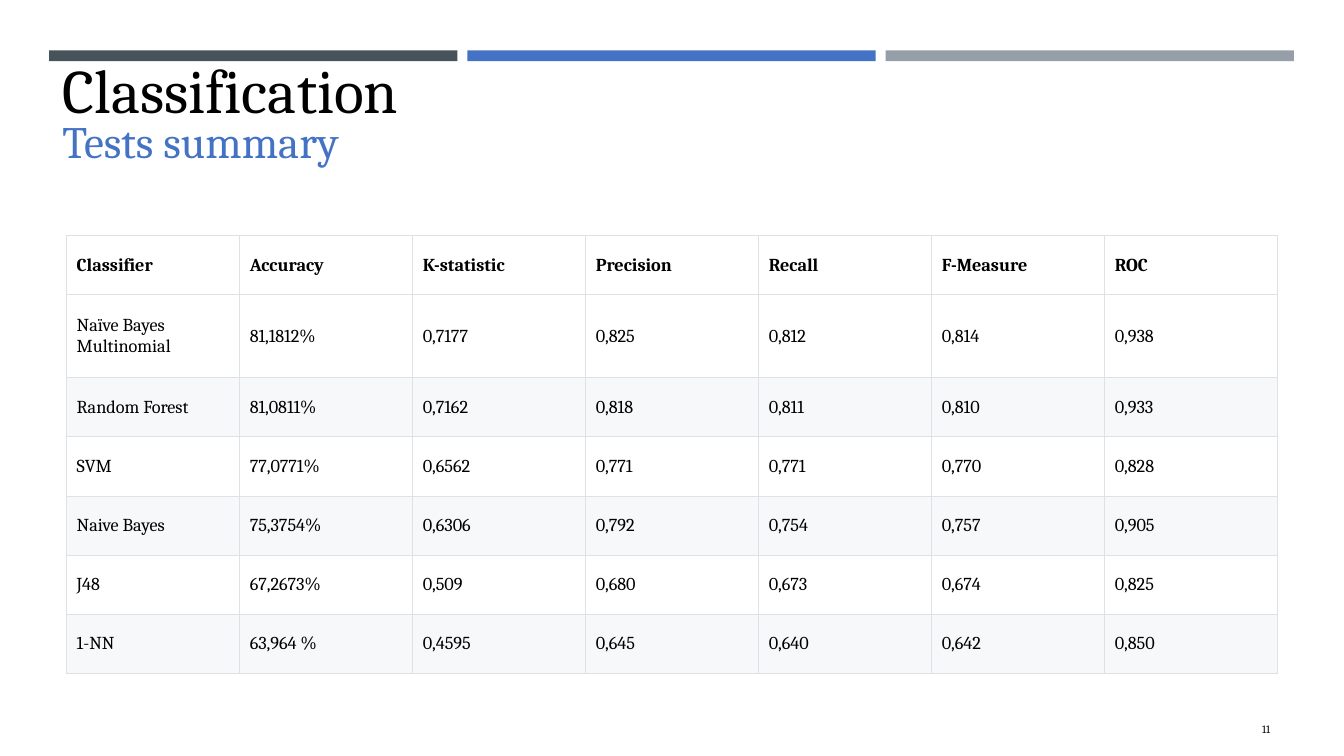
from lxml.etree import SubElement
from pptx import Presentation
from pptx.dml.color import RGBColor
from pptx.enum.shapes import MSO_SHAPE
from pptx.enum.text import MSO_ANCHOR, PP_ALIGN
from pptx.oxml.ns import qn
from pptx.util import Cm, Pt

# Content
FONT = "Cambria"
BLACK, BLUE, WHITE = "000000", "4472C4", "FFFFFF"
STRIPE, BORDER = "F6F8FA", "DFE2E5"
BAR_COLOURS = ["465359", BLUE, "969FA7"]
# text, box in cm, size, colour, anchor, alignment, line spacing
TEXTS = [
    ("Tests summary", (1.32, 2.41, 12.04, 1.96), 32, BLUE,
     MSO_ANCHOR.BOTTOM, PP_ALIGN.LEFT, 0.9),
    ("Classification", (1.32, 1.57, 12.5, 1.68), 44.1, BLACK,
     MSO_ANCHOR.BOTTOM, PP_ALIGN.LEFT, 0.7),
    ("11", (29.34, 17.86, 2.92, 1.02), 8, BLACK,
     MSO_ANCHOR.MIDDLE, PP_ALIGN.RIGHT, 1.0),
]
RESULTS = [
    ("Classifier", "Accuracy", "K-statistic", "Precision", "Recall", "F-Measure", "ROC"),
    ("Naïve Bayes Multinomial", "81,1812%", "0,7177", "0,825", "0,812", "0,814", "0,938"),
    ("Random Forest", "81,0811%", "0,7162", "0,818", "0,811", "0,810", "0,933"),
    ("SVM", "77,0771%", "0,6562", "0,771", "0,771", "0,770", "0,828"),
    ("Naive Bayes", "75,3754%", "0,6306", "0,792", "0,754", "0,757", "0,905"),
    ("J48", "67,2673%", "0,509", "0,680", "0,673", "0,674", "0,825"),
    ("1-NN", "63,964 %", "0,4595", "0,645", "0,640", "0,642", "0,850"),
]

# Layout in cm
BAR_LEFT, BAR_TOP, BAR_WIDTH, BAR_HEIGHT, BAR_GAP = 1.24, 1.27, 10.29, 0.27, 0.25
TABLE_LEFT, TABLE_TOP, COLUMN_WIDTH = 1.68, 5.94, 4.36
ROW_HEIGHT, TALL_ROW_HEIGHT, TALL_ROW = 1.49, 2.09, 1


def colour(hex_string):
    return RGBColor.from_string(hex_string)


def set_font(paragraph, size, hex_string, bold=False):
    font = paragraph.font
    font.name, font.size, font.bold = FONT, Pt(size), bold
    font.color.rgb = colour(hex_string)


def add_bar(slide, index, hex_string):
    left = BAR_LEFT + index * (BAR_WIDTH + BAR_GAP)
    bar = slide.shapes.add_shape(MSO_SHAPE.RECTANGLE, Cm(left), Cm(BAR_TOP),
                                 Cm(BAR_WIDTH), Cm(BAR_HEIGHT))
    bar.shadow.inherit = False
    bar.fill.solid()
    bar.fill.fore_color.rgb = colour(hex_string)
    bar.line.fill.background()


def add_text(slide, text, box, size, hex_string, anchor, alignment, spacing):
    frame = slide.shapes.add_textbox(*map(Cm, box)).text_frame
    frame.word_wrap = True
    frame.vertical_anchor = anchor
    paragraph = frame.paragraphs[0]
    paragraph.text = text
    paragraph.alignment = alignment
    paragraph.line_spacing = spacing
    set_font(paragraph, size, hex_string)


def add_borders(cell):
    properties = cell._tc.get_or_add_tcPr()
    for position, side in enumerate(("a:lnL", "a:lnR", "a:lnT", "a:lnB")):
        line = SubElement(properties, qn(side), w=str(Pt(0.75)))
        fill = SubElement(line, qn("a:solidFill"))
        SubElement(fill, qn("a:srgbClr"), val=BORDER)
        properties.insert(position, line)  # borders precede the fill


def add_results(slide):
    rows, columns = len(RESULTS), len(RESULTS[0])
    heights = [TALL_ROW_HEIGHT if row == TALL_ROW else ROW_HEIGHT for row in range(rows)]
    table = slide.shapes.add_table(rows, columns, Cm(TABLE_LEFT), Cm(TABLE_TOP),
                                   Cm(columns * COLUMN_WIDTH), Cm(sum(heights))).table
    for column in table.columns:
        column.width = Cm(COLUMN_WIDTH)
    for row, values in enumerate(RESULTS):
        table.rows[row].height = Cm(heights[row])
        striped = row > 0 and row % 2 == 0
        for column, value in enumerate(values):
            cell = table.cell(row, column)
            cell.text = value
            cell.vertical_anchor = MSO_ANCHOR.MIDDLE
            cell.fill.solid()
            cell.fill.fore_color.rgb = colour(STRIPE if striped else WHITE)
            set_font(cell.text_frame.paragraphs[0], 13, BLACK, bold=row == 0)
            add_borders(cell)


def main():
    presentation = Presentation()
    presentation.slide_width, presentation.slide_height = Cm(33.87), Cm(19.05)
    slide = presentation.slides.add_slide(presentation.slide_layouts[6])
    for index, hex_string in enumerate(BAR_COLOURS):
        add_bar(slide, index, hex_string)
    add_results(slide)
    for entry in TEXTS:
        add_text(slide, *entry)
    presentation.save("out.pptx")


if __name__ == "__main__":
    main()
